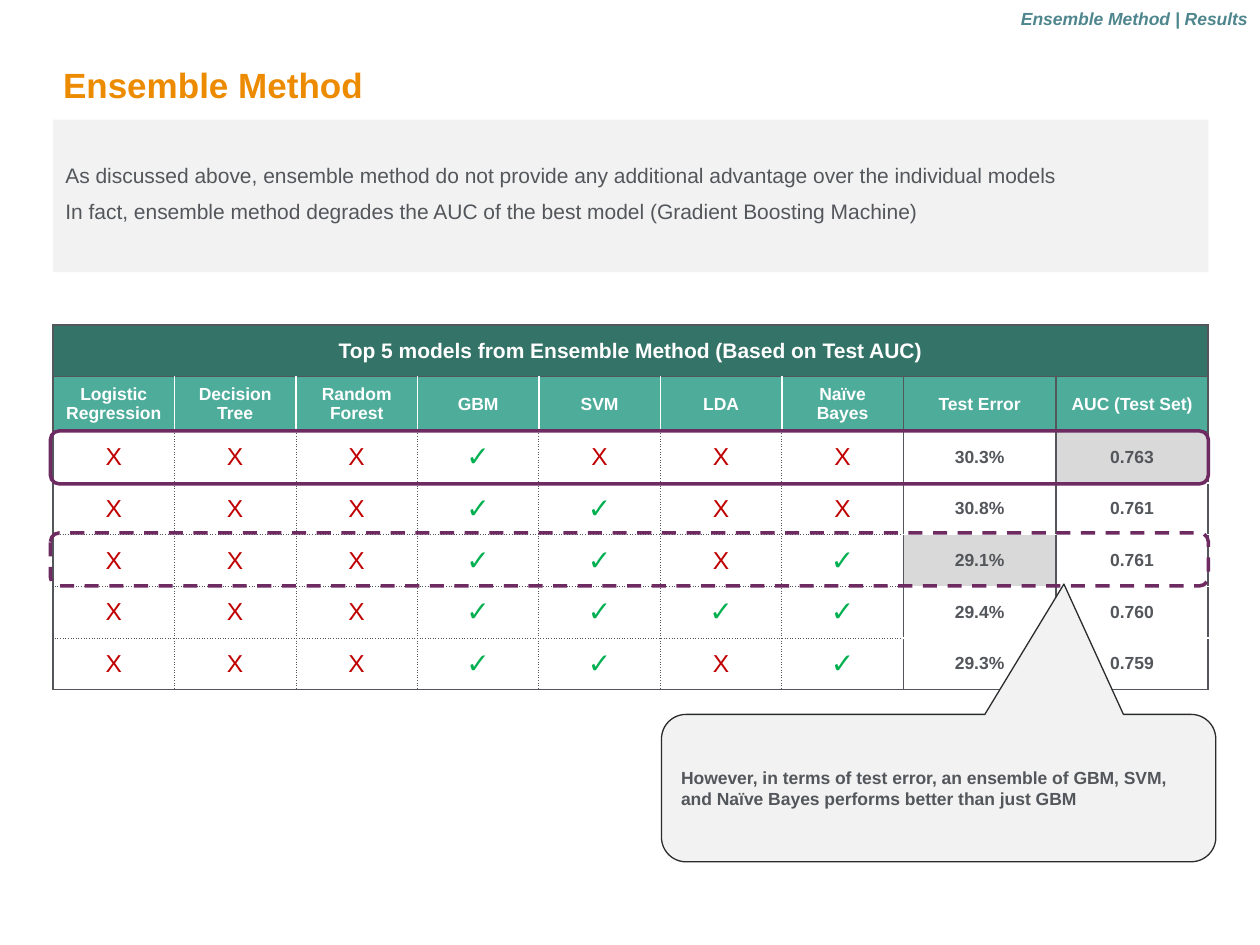
from lxml import etree
from pptx import Presentation, util as u
from pptx.dml.color import RGBColor
from pptx.enum import dml, shapes, text
from pptx.oxml.ns import qn

GREY, PALE, WHITE, PLUM = "53565A", "F2F2F2", "FFFFFF", "6E2B62"
SOLID, DOTTED, GAP = (GREY, 1, "solid"), (GREY, 0.5, "sysDot"), (WHITE, 1, "solid")
HEADINGS = ["Logistic Regression", "Decision Tree", "Random Forest", "GBM", "SVM",
            "LDA", "Naïve Bayes", "Test Error", "AUC (Test Set)"]
RESULTS = [
    ("XXX✓XXX", "30.3%", "0.763"),
    ("XXX✓✓XX", "30.8%", "0.761"),
    ("XXX✓✓X✓", "29.1%", "0.761"),
    ("XXX✓✓✓✓", "29.4%", "0.760"),
    ("XXX✓✓X✓", "29.3%", "0.759"),
]
BEST_CELLS = {(2, 8), (4, 7)}
MODELS = 7
ROWS = len(RESULTS) + 2


def rgb(value):
    """Turn a hex string into a colour."""
    return RGBColor.from_string(value)


def box_of(left, top, width, height):
    """Return a box in inches as lengths."""
    return tuple(u.Inches(side) for side in (left, top, width, height))


def write(frame, *lines, size=10, color=GREY, bold=False, italic=False,
          align=text.PP_ALIGN.LEFT, after=0):
    """Fill a text frame with one paragraph per line."""
    for index, line in enumerate(lines):
        paragraph = frame.add_paragraph() if index else frame.paragraphs[0]
        paragraph.alignment = align
        paragraph.space_after = u.Pt(after)
        run = paragraph.add_run()
        run.text = line
        font = run.font
        font.name, font.size, font.bold, font.italic = "Arial", u.Pt(size), bold, italic
        font.color.rgb = rgb(color)


def add_panel(slide, kind, box, fill=None, line=None, width=1, dash=None):
    """Add a flat shape with optional fill and outline."""
    panel = slide.shapes.add_shape(kind, *box)
    panel.shadow.inherit = False
    if fill:
        panel.fill.solid()
        panel.fill.fore_color.rgb = rgb(fill)
    else:
        panel.fill.background()
    if line:
        panel.line.color.rgb = rgb(line)
        panel.line.width = u.Pt(width)
        if dash:
            panel.line.dash_style = dash
    else:
        panel.line.fill.background()
    return panel


def add_heading(slide, box):
    """Place and format the slide title."""
    title = slide.shapes.title
    title.left, title.top, title.width, title.height = box
    frame = title.text_frame
    frame.margin_left = frame.margin_right = frame.margin_top = frame.margin_bottom = 0
    frame.vertical_anchor = text.MSO_ANCHOR.BOTTOM
    write(frame, "Ensemble Method", size=20, color="ED8B00", bold=True)


def add_section_tag(slide, box):
    """Add the section label in the top corner."""
    frame = slide.shapes.add_textbox(*box).text_frame
    frame.word_wrap = False
    frame.vertical_anchor = text.MSO_ANCHOR.MIDDLE
    write(frame, "Ensemble Method | Results", color="4F868E", bold=True, italic=True,
          align=text.PP_ALIGN.RIGHT)


def add_summary(slide, box):
    """Add the shaded summary of the findings."""
    frame = add_panel(slide, shapes.MSO_SHAPE.RECTANGLE, box, fill=PALE).text_frame
    frame.word_wrap = True
    frame.vertical_anchor = text.MSO_ANCHOR.MIDDLE
    frame.margin_bottom = u.Inches(0.09)
    write(frame,
          "As discussed above, ensemble method do not provide any additional advantage "
          "over the individual models",
          "In fact, ensemble method degrades the AUC of the best model "
          "(Gradient Boosting Machine)", size=12, after=6)


def row_edge(index, column):
    """Return the style of the horizontal edge above a row index."""
    if index <= 2 or index == ROWS:
        return SOLID
    return DOTTED if column < MODELS else GAP


def column_edge(index, row):
    """Return the style of the vertical edge left of a column index."""
    if row == 0 or not 0 < index < MODELS:
        return SOLID
    return GAP if row == 1 else DOTTED


def style_cell(cell, row, column, fill):
    """Set the borders, fill and anchor of one cell."""
    properties = cell._tc.get_or_add_tcPr()
    edges = {"a:lnL": column_edge(column, row), "a:lnR": column_edge(column + 1, row),
             "a:lnT": row_edge(row, column), "a:lnB": row_edge(row + 1, column)}
    for tag, (color, width, dash) in edges.items():
        border = etree.SubElement(properties, qn(tag), w=str(u.Pt(width)))
        paint = etree.SubElement(border, qn("a:solidFill"))
        etree.SubElement(paint, qn("a:srgbClr"), val=color)
        etree.SubElement(border, qn("a:prstDash"), val=dash)
    cell.fill.solid()
    cell.fill.fore_color.rgb = rgb(fill)
    cell.vertical_anchor = text.MSO_ANCHOR.MIDDLE


def add_results(slide, box):
    """Add the table of the top ensembles."""
    score_width = u.Inches(1.21)
    table = slide.shapes.add_table(ROWS, len(HEADINGS), *box).table
    table.first_row = table.horz_banding = False
    model_width = (box[2] - 2 * score_width) // MODELS
    for index, column in enumerate(table.columns):
        column.width = model_width if index < MODELS else score_width
    for row in table.rows:
        row.height = box[3] // ROWS
    table.cell(0, 0).merge(table.cell(0, len(HEADINGS) - 1))

    center = text.PP_ALIGN.CENTER
    marks = {"X": dict(size=14, color="C00000"), "✓": dict(size=16, color="00B050")}
    banner = "Top 5 models from Ensemble Method (Based on Test AUC)"
    write(table.cell(0, 0).text_frame, banner, size=12, color=WHITE, bold=True, align=center)
    for column, heading in enumerate(HEADINGS):
        style_cell(table.cell(0, column), 0, column, "347367")
        style_cell(table.cell(1, column), 1, column, "4EAC9B")
        write(table.cell(1, column).text_frame, heading, color=WHITE, bold=True, align=center)
    for row, (used, error, auc) in enumerate(RESULTS, 2):
        for column, value in enumerate([*used, error, auc]):
            cell = table.cell(row, column)
            style_cell(cell, row, column, "D9D9D9" if (row, column) in BEST_CELLS else WHITE)
            write(cell.text_frame, value, align=center, **marks.get(value, dict(bold=True)))


def add_highlight(slide, box, dash=None):
    """Outline one table row."""
    add_panel(slide, shapes.MSO_SHAPE.ROUNDED_RECTANGLE, box, line=PLUM, width=2, dash=dash)


def add_remark(slide, box):
    """Add the callout that points to the best test error."""
    callout = add_panel(slide, shapes.MSO_SHAPE.ROUNDED_RECTANGULAR_CALLOUT, box,
                        fill=PALE, line="2A2B2D", width=0.75)
    for index, value in enumerate((0.226, -1.384, 0.167)):
        callout.adjustments[index] = round(value, 3)
    frame = callout.text_frame
    frame.word_wrap = True
    frame.vertical_anchor = text.MSO_ANCHOR.MIDDLE
    write(frame, "However, in terms of test error, an ensemble of GBM, SVM, and Naïve Bayes "
          "performs better than just GBM", bold=True, after=6)


def main():
    """Build the slide and save it."""
    deck = Presentation()
    deck.slide_width, deck.slide_height = u.Inches(10), u.Inches(7.5)
    slide = deck.slides.add_slide(deck.slide_layouts[5])
    add_heading(slide, box_of(0.5, 0.5, 9, 0.34))
    add_section_tag(slide, box_of(7.75, 0, 2.25, 0.3))
    add_summary(slide, box_of(0.42, 0.95, 9.17, 1.21))
    add_results(slide, box_of(0.42, 2.58, 9.17, 2.87))
    add_highlight(slide, box_of(0.4, 3.42, 9.19, 0.42))
    add_highlight(slide, box_of(0.4, 4.23, 9.19, 0.42), dash=dml.MSO_LINE.DASH)
    add_remark(slide, box_of(5.25, 5.67, 4.4, 1.17))
    deck.save("out.pptx")


if __name__ == "__main__":
    main()
